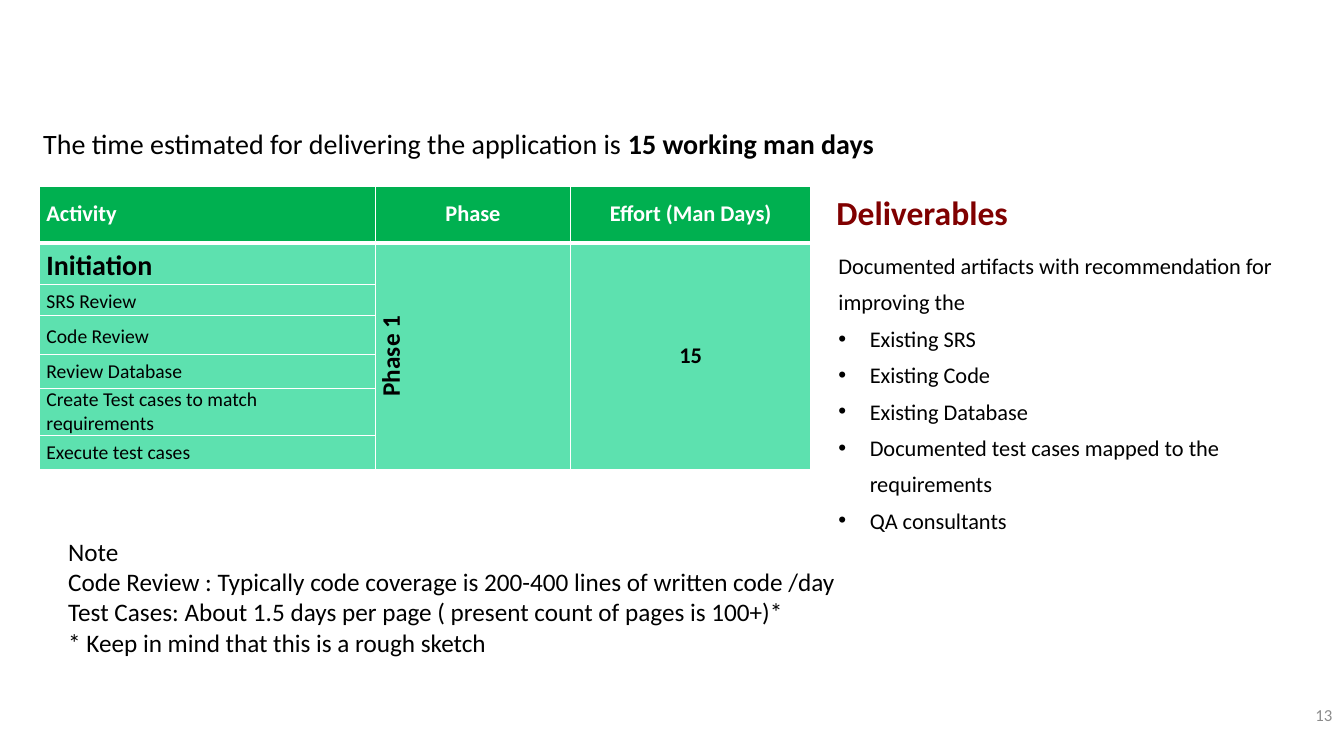
from lxml import etree
from pptx import Presentation
from pptx.dml.color import RGBColor
from pptx.enum.text import MSO_ANCHOR, MSO_AUTO_SIZE, PP_ALIGN
from pptx.oxml.ns import qn
from pptx.util import Cm, Pt

LEFT, CENTER, RIGHT, JUSTIFY = PP_ALIGN.LEFT, PP_ALIGN.CENTER, PP_ALIGN.RIGHT, PP_ALIGN.JUSTIFY
TOP, MIDDLE = MSO_ANCHOR.TOP, MSO_ANCHOR.MIDDLE
GROW = MSO_AUTO_SIZE.SHAPE_TO_FIT_TEXT
FONT = "Calibri"
BLACK, WHITE, GREY, MAROON = "000000", "FFFFFF", "8C8C8C", "800000"
HEADER_GREEN, BODY_GREEN = "00B050", "5DE1AF"

ESTIMATE = ("The time estimated for delivering the application is ", "15 working man days")
HEADERS = [("Activity", JUSTIFY), ("Phase", CENTER), ("Effort (Man Days)", CENTER)]
# activity, size, bold, line spacing, space after, row height in cm
ACTIVITIES = [
    ("Initiation", 20, True, 1.15, 6, 1.04),
    ("SRS Review", 14, False, 1.15, 6, 0.79),
    ("Code Review", 14, False, 1.15, 6, 0.99),
    ("Review Database", 14, False, 1, 0, 0.84),
    ("Create Test cases to match requirements", 14, False, 1, 0, 1.2),
    ("Execute test cases", 14, False, 1, 0, 0.84),
]
PHASE, EFFORT = "Phase 1", "15"
HEADER_HEIGHT = 1.42
COLUMN_WIDTHS = [8.48, 4.9, 6.07]
DELIVERABLES_INTRO = "Documented artifacts with recommendation for improving the"
DELIVERABLES = [
    "Existing SRS",
    "Existing Code",
    "Existing Database",
    "Documented test cases mapped to the requirements",
    "QA consultants",
]
NOTES = [
    "Note",
    "Code Review : Typically code coverage is 200-400 lines of written code /day",
    "Test Cases: About 1.5 days per page ( present count of pages is 100+)*",
    "* Keep in mind that this is a rough sketch",
]
PAGE_NUMBER = "13"


def rgb(value):
    return RGBColor.from_string(value)


def style(para, size, colour=BLACK, bold=False, align=LEFT, spacing=None, after=0):
    para.alignment = align
    para.space_after = Pt(after)
    if spacing:
        para.line_spacing = spacing
    font = para.font
    font.name, font.size, font.bold = FONT, Pt(size), bold
    font.color.rgb = rgb(colour)


def add_text(page, place, lines, size, **look):
    """Add a growing text box with one paragraph per line; return its frame."""
    frame = page.shapes.add_textbox(*map(Cm, place)).text_frame
    frame.word_wrap = True
    frame.auto_size = GROW
    frame.text = "\n".join(lines)
    for para in frame.paragraphs:
        style(para, size, **look)
    return frame


def indent(para, left, first, bullet=None):
    """Set indents in cm, with an optional bullet character."""
    properties = para._p.get_or_add_pPr()
    properties.set("marL", str(Cm(left)))
    properties.set("indent", str(Cm(first)))
    if bullet:
        face = etree.SubElement(properties, qn("a:buFont"))
        face.set("typeface", "Arial")
        etree.SubElement(properties, qn("a:buChar")).set("char", bullet)


def add_borders(cell, widths):
    """Draw white borders, widths in points by side letter."""
    properties = cell._tc.get_or_add_tcPr()
    for side in "LRTB":
        line = etree.SubElement(properties, qn("a:ln" + side))
        line.set("w", str(Pt(widths.get(side, 1))))
        fill = etree.SubElement(line, qn("a:solidFill"))
        etree.SubElement(fill, qn("a:srgbClr")).set("val", WHITE)


def fill_cell(cell, text, size, anchor=MIDDLE, **look):
    cell.text = text
    cell.vertical_anchor = anchor
    style(cell.text_frame.paragraphs[0], size, **look)


def add_effort_table(page):
    heights = [HEADER_HEIGHT] + [activity[-1] for activity in ACTIVITIES]
    table = page.shapes.add_table(
        len(heights), len(COLUMN_WIDTHS), Cm(0.99), Cm(4.7),
        Cm(sum(COLUMN_WIDTHS)), Cm(sum(heights))).table
    for column, width in zip(table.columns, COLUMN_WIDTHS):
        column.width = Cm(width)
    for index, (row, height) in enumerate(zip(table.rows, heights)):
        row.height = Cm(height)
        for cell in row.cells:
            cell.margin_left = cell.margin_right = Cm(0.18)
            cell.margin_top = cell.margin_bottom = 0
            add_borders(cell, {0: {"B": 3}, 1: {"T": 3}}.get(index, {}))
            cell.fill.solid()
            cell.fill.fore_color.rgb = rgb(BODY_GREEN if index else HEADER_GREEN)

    for column, (header, align) in enumerate(HEADERS):
        fill_cell(table.cell(0, column), header, 16, TOP, colour=WHITE, bold=True,
                  align=align, spacing=1.5, after=6)
    for index, (activity, size, bold, spacing, after, _) in enumerate(ACTIVITIES, 1):
        fill_cell(table.cell(index, 0), activity, size, bold=bold, spacing=spacing, after=after)
    for column, text, size in [(1, PHASE, 18), (2, EFFORT, 16)]:
        cell = table.cell(1, column)
        cell.merge(table.cell(len(ACTIVITIES), column))
        fill_cell(cell, text, size, bold=True, align=CENTER)
    table.cell(1, 1)._tc.get_or_add_tcPr().set("vert", "vert270")


def add_deliverables(page):
    add_text(page, (20.83, 4.7, 7.29, 1.27), ["Deliverables"], 24, colour=MAROON, bold=True)
    frame = page.shapes.add_textbox(Cm(20.83), Cm(5.99), Cm(12.14), Cm(7.67)).text_frame
    frame.word_wrap = True
    frame.auto_size = GROW
    frame.text = "\n".join([DELIVERABLES_INTRO] + DELIVERABLES)
    for index, para in enumerate(frame.paragraphs):
        if index:
            indent(para, 0.84, -0.79, "•")
        else:
            indent(para, 0.05, 0)
        style(para, 16, spacing=Pt(26))


def main():
    deck = Presentation()
    deck.slide_width, deck.slide_height = Cm(33.87), Cm(19.05)
    page = deck.slides.add_slide(deck.slide_layouts[6])

    number = add_text(page, (26.21, 17.5, 7.62, 1.02), [PAGE_NUMBER], 12,
                      colour=GREY, align=RIGHT)
    number.auto_size = MSO_AUTO_SIZE.NONE
    number.vertical_anchor = MIDDLE

    add_effort_table(page)
    opening, duration = ESTIMATE
    estimate = add_text(page, (0.84, 3.07, 26.42, 1.12), [opening], 20)
    span = estimate.paragraphs[0].add_run()
    span.text = duration
    span.font.bold = True
    add_deliverables(page)
    add_text(page, (1.47, 13.39, 20.29, 3.33), NOTES, 18)
    deck.save("out.pptx")


if __name__ == "__main__":
    main()
